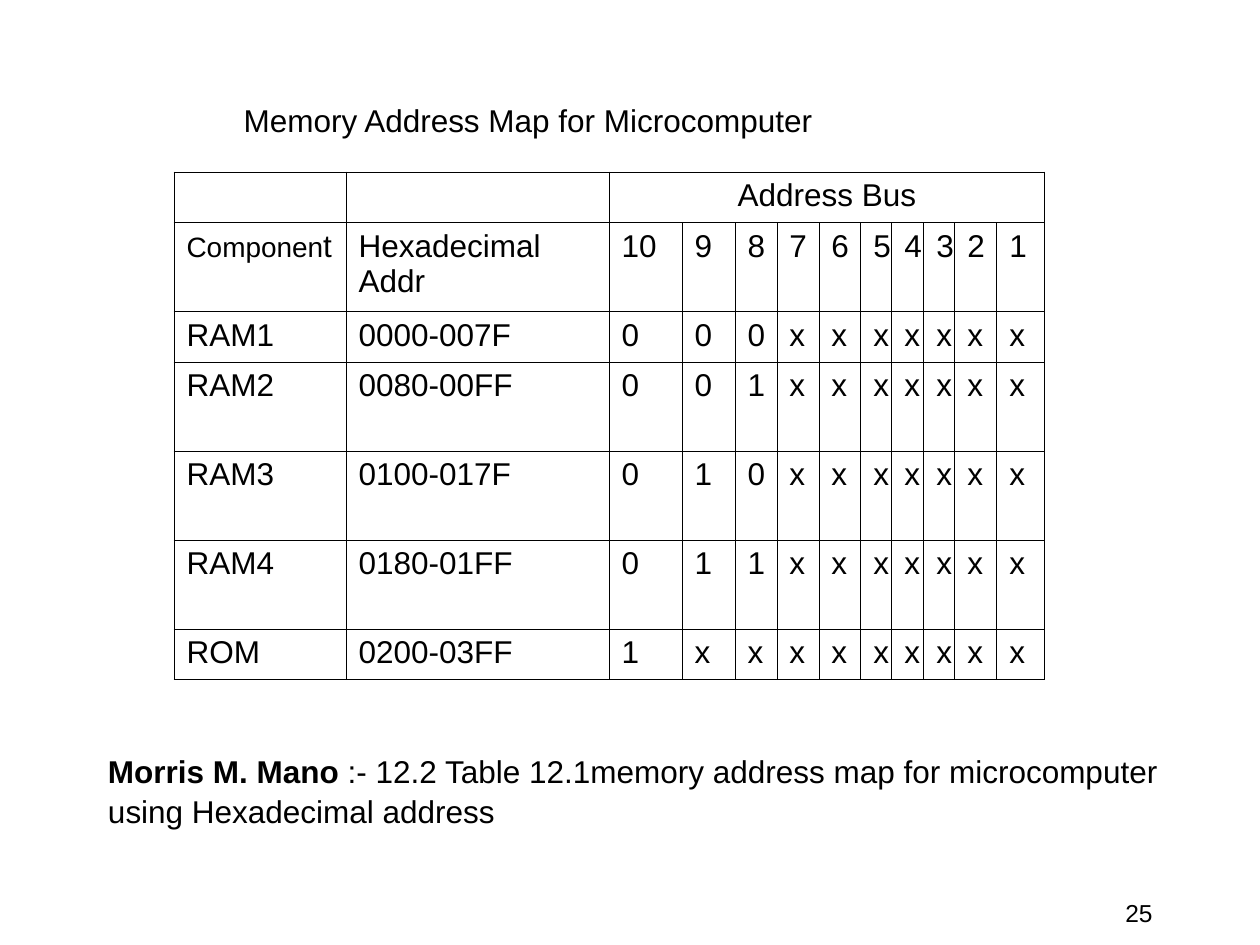
from dataclasses import dataclass

from lxml import etree
from pptx import Presentation
from pptx.dml.color import RGBColor
from pptx.enum.text import MSO_ANCHOR, MSO_AUTO_SIZE, PP_ALIGN
from pptx.oxml.ns import qn
from pptx.util import Pt

PX = 914400 / 126
LEFT, CENTER, RIGHT = PP_ALIGN.LEFT, PP_ALIGN.CENTER, PP_ALIGN.RIGHT
TOP, MIDDLE = MSO_ANCHOR.TOP, MSO_ANCHOR.MIDDLE
NO_FIT = MSO_AUTO_SIZE.NONE


@dataclass(frozen=True)
class Theme:
    font: str = "Arial"
    ink: str = "000000"
    body: int = 18
    small: int = 16
    page: int = 14
    rule: float = 0.45


THEME = Theme()

COLS = [172, 263, 73, 53, 42, 42, 42, 31, 32, 31, 42, 48]
LOW, HIGH = 50, 89
ROWS = [LOW, HIGH, LOW, HIGH, HIGH, HIGH, LOW]
BITS = 10
# Component, address range, fixed high bits; the remaining bits are "x".
PARTS = [
    ("RAM1", "0000-007F", "000"),
    ("RAM2", "0080-00FF", "001"),
    ("RAM3", "0100-017F", "010"),
    ("RAM4", "0180-01FF", "011"),
    ("ROM", "0200-03FF", "1"),
]


def px(n):
    return round(n * PX)


def style(para, size=THEME.body, align=LEFT):
    para.alignment = align
    para.font.name = THEME.font
    para.font.size = Pt(size)
    para.font.color.rgb = RGBColor.from_string(THEME.ink)


def place(shape, left, top, width, height):
    shape.left, shape.top = px(left), px(top)
    shape.width, shape.height = px(width), px(height)


def add_title(slide, text, *box):
    title = slide.shapes.title
    place(title, *box)
    frame = title.text_frame
    frame.text = text
    frame.auto_size = NO_FIT
    frame.vertical_anchor = MIDDLE
    style(frame.paragraphs[0])


def add_text(slide, *box):
    frame = slide.shapes.add_textbox(*map(px, box)).text_frame
    frame.vertical_anchor = TOP
    return frame


def add_page(slide, text, *box):
    frame = add_text(slide, *box)
    frame.word_wrap = True
    frame.text = text
    style(frame.paragraphs[0], THEME.page, RIGHT)


def add_note(slide, lines, *box):
    """Each line is a list of (text, bold) runs."""
    frame = add_text(slide, *box)
    frame.word_wrap = False
    frame.margin_left = px(21)
    for i, runs in enumerate(lines):
        para = frame.add_paragraph() if i else frame.paragraphs[0]
        style(para)
        para.space_before = Pt(1)
        for text, bold in runs:
            run = para.add_run()
            run.text = text
            run.font.bold = bold


def rule_cell(cell):
    props = cell._tc.get_or_add_tcPr()
    for side in ("lnL", "lnR", "lnT", "lnB"):
        line = etree.SubElement(props, qn("a:" + side), w=str(Pt(THEME.rule)))
        fill = etree.SubElement(line, qn("a:solidFill"))
        etree.SubElement(fill, qn("a:srgbClr"), val=THEME.ink)
    cell.fill.background()


def map_rows():
    yield ["", "", "Address Bus"] + [""] * (BITS - 1)
    yield ["", "Hexadecimal Addr"] + [str(n) for n in range(BITS, 0, -1)]
    for name, span, bits in PARTS:
        yield [name, span, *bits.ljust(BITS, "x")]


def add_map(slide, left, top):
    box = (left, top, sum(COLS), sum(ROWS))
    table = slide.shapes.add_table(len(ROWS), len(COLS), *map(px, box)).table
    table.first_row = table.horz_banding = False
    for col, width in zip(table.columns, COLS):
        col.width = px(width)
    for row, height in zip(table.rows, ROWS):
        row.height = px(height)
    for r, texts in enumerate(map_rows()):
        for c, text in enumerate(texts):
            cell = table.cell(r, c)
            cell.text = text
            style(cell.text_frame.paragraphs[0])
            rule_cell(cell)
    bus = table.cell(0, 2)
    bus.merge(table.cell(0, len(COLS) - 1))
    bus.text_frame.paragraphs[0].alignment = CENTER
    head = table.cell(1, 0).text_frame.paragraphs[0]
    for text, size in (("Componen", THEME.small), ("t", THEME.body)):
        run = head.add_run()
        run.text = text
        run.font.size = Pt(size)


def main():
    deck = Presentation()
    deck.slide_width, deck.slide_height = px(1260), px(945)
    slide = deck.slides.add_slide(deck.slide_layouts[5])
    add_page(slide, "25", 903, 892, 262, 32)
    add_map(slide, 174, 172)
    add_title(slide, "Memory Address Map for Microcomputer", 231, 95, 620, 50)
    add_note(slide, [
        [("Morris M. Mano", True),
         (" :- 12.2 Table 12.1memory address map for microcomputer", False)],
        [("using Hexadecimal address", False)],
    ], 87, 746, 1087, 88)
    deck.save("out.pptx")


if __name__ == "__main__":
    main()
